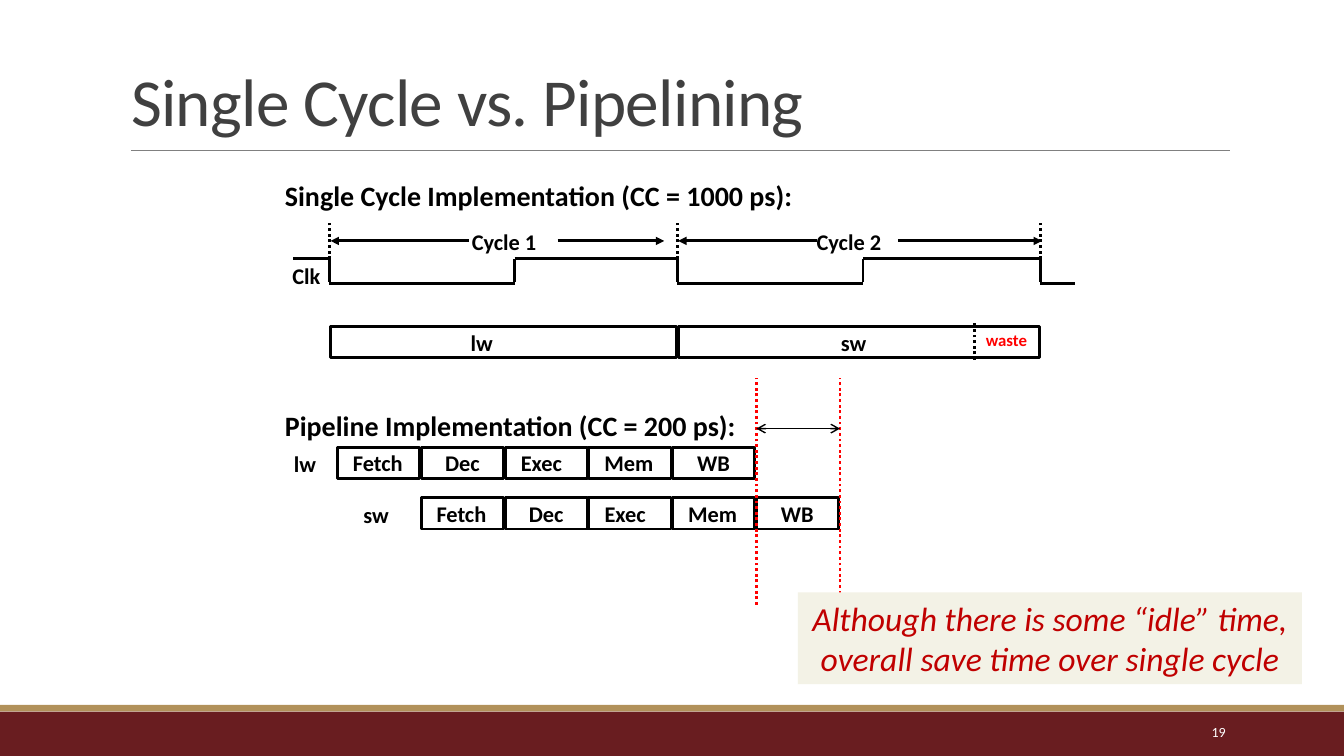
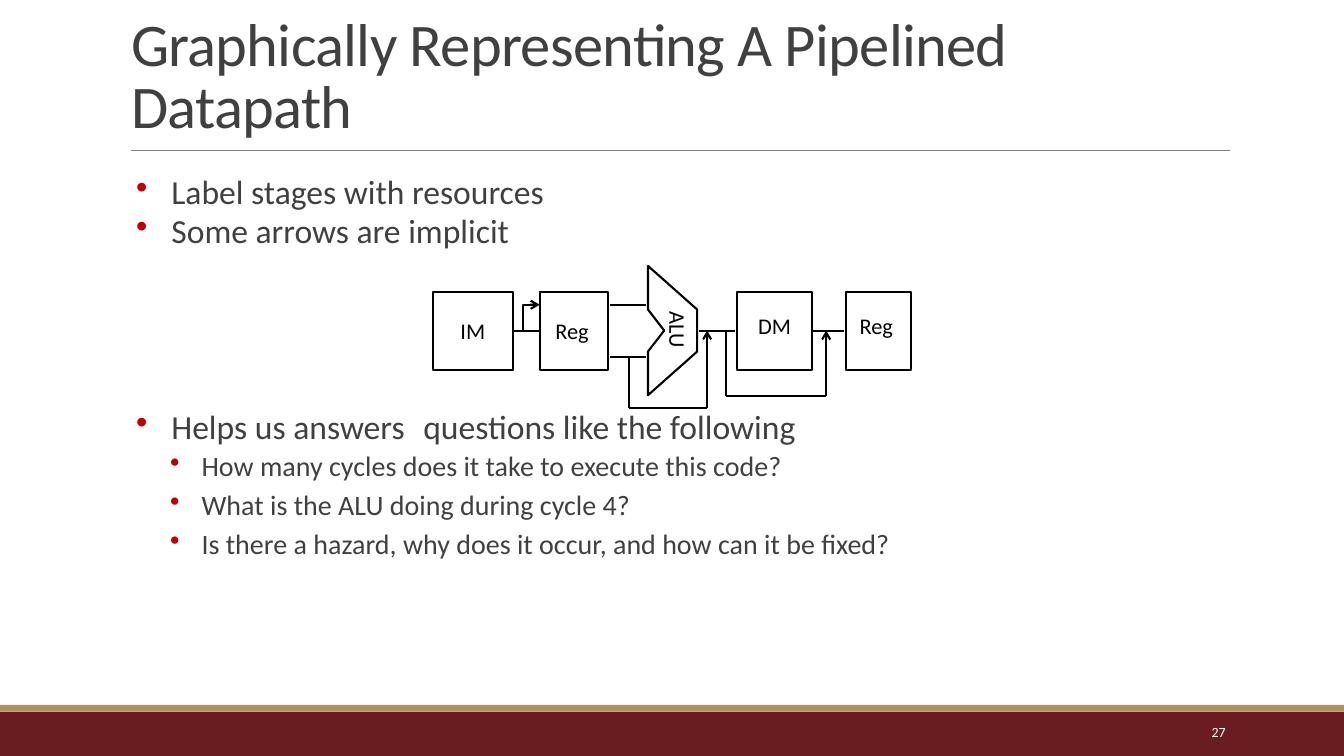
from lxml.etree import SubElement
from pptx import Presentation
from pptx.dml.color import RGBColor
from pptx.enum.dml import MSO_LINE
from pptx.enum.shapes import MSO_CONNECTOR, MSO_SHAPE
from pptx.enum.text import MSO_ANCHOR, MSO_AUTO_SIZE, PP_ALIGN
from pptx.oxml.ns import qn
from pptx.util import Cm, Pt

FONT = "Calibri"
BLACK, WHITE, GREY, RULE = "000000", "FFFFFF", "404040", "808080"
MAROON, GOLD, CREAM = "691D20", "B1915A", "F3F2E6"
RED, CRIMSON = "FF0000", "C00000"
STAGES = [("Fetch", 0.05), ("Dec", 0), ("Exec", 0.24), ("Mem", 0.05), ("WB", 0)]
STAGE_LEFT, STAGE_STEP = 8.51, 2.11


def rgb(code):
    return RGBColor.from_string(code)


def write(frame, text, size, color=BLACK, bold=False, italic=False,
          align=PP_ALIGN.LEFT, anchor=MSO_ANCHOR.TOP, wrap=True):
    frame.word_wrap = wrap
    frame.auto_size = MSO_AUTO_SIZE.NONE
    frame.vertical_anchor = anchor
    frame.text = text
    para = frame.paragraphs[0]
    para.alignment = align
    font = para.font
    font.name, font.size = FONT, Pt(size)
    font.bold, font.italic = bold, italic
    font.color.rgb = rgb(color)
    return para


def label(slide, text, x, y, w, h=0.94, size=16, **style):
    box = slide.shapes.add_textbox(Cm(x), Cm(y), Cm(w), Cm(h))
    write(box.text_frame, text, size, **style)
    return box


def outline(shape, color=BLACK, width=1.5, dash=None, head=None, tail=None):
    """Set the line of a shape; head and tail name arrowheads at start and end."""
    line = shape.line
    line.color.rgb = rgb(color)
    line.width = Pt(width)
    if dash:
        line.dash_style = dash
    ln = shape._element.spPr.find(qn("a:ln"))
    for tag, kind in (("a:headEnd", head), ("a:tailEnd", tail)):
        if kind:
            SubElement(ln, qn(tag), type=kind)


def block(slide, x, y, w, h, fill=None, width=None):
    shape = slide.shapes.add_shape(MSO_SHAPE.RECTANGLE, Cm(x), Cm(y), Cm(w), Cm(h))
    shape.shadow.inherit = False
    if fill:
        shape.fill.solid()
        shape.fill.fore_color.rgb = rgb(fill)
    else:
        shape.fill.background()
    if width:
        outline(shape, width=width)
    else:
        shape.line.fill.background()
    return shape


def unit(slide, text, x, y, w, h, width, lift=0, shift=0, bold=False):
    """Outlined box with a centred name; margins move it up (lift) or left (shift)."""
    frame = block(slide, x, y, w, h, width=width).text_frame
    frame.margin_left = frame.margin_top = 0
    frame.margin_right, frame.margin_bottom = Cm(shift), Cm(lift)
    write(frame, text, 16, bold=bold, align=PP_ALIGN.CENTER,
          anchor=MSO_ANCHOR.MIDDLE)


def link(slide, x1, y1, x2, y2, **style):
    wire = slide.shapes.add_connector(
        MSO_CONNECTOR.STRAIGHT, Cm(x1), Cm(y1), Cm(x2), Cm(y2))
    outline(wire, **style)
    SubElement(wire._element.spPr, qn("a:effectLst"))


def trace(slide, points, close=False, **style):
    """Draw an unfilled outline through points."""
    first, *rest = [(Cm(x), Cm(y)) for x, y in points]
    pen = slide.shapes.build_freeform(*first)
    pen.add_line_segments(rest, close=close)
    shape = pen.convert_to_shape()
    shape.shadow.inherit = False
    shape.fill.background()
    outline(shape, **style)


def bullet(para, left, hang):
    props = para._p.get_or_add_pPr()
    props.set("marL", str(Cm(left)))
    props.set("indent", str(-Cm(hang)))
    SubElement(SubElement(props, qn("a:buClr")), qn("a:srgbClr"), val=CRIMSON)
    SubElement(props, qn("a:buChar"), char="•")


def add_page(deck, title, size, number):
    slide = deck.slides.add_slide(deck.slide_layouts[5])
    block(slide, 0, 17.93, 33.87, 1.12, MAROON)
    block(slide, 0, 17.76, 33.87, 0.17, GOLD)
    link(slide, 3.3, 3.78, 30.99, 3.78, color=RULE, width=0.5)
    head = slide.shapes.title
    head.left, head.top, head.width, head.height = Cm(3.05), Cm(0.8), Cm(27.94), Cm(2.87)
    para = write(head.text_frame, title, size, GREY, anchor=MSO_ANCHOR.BOTTOM)
    para.line_spacing = 0.85
    para.runs[0]._r.get_or_add_rPr().set("spc", "-50")
    label(slide, number, 27.51, 17.93, 3.63, 1.02, 10, color=WHITE,
          align=PP_ALIGN.RIGHT, anchor=MSO_ANCHOR.MIDDLE)
    return slide


def draw_clock(slide):
    high, low, arrow = 6.51, 7.14, 6.07
    edges = [7.39, 8.3, 12.97, 17.07, 21.75, 26.22, 27.1]
    for i, (x1, x2) in enumerate(zip(edges, edges[1:])):
        y = low if i % 2 else high
        link(slide, x1, y, x2, y, width=2)
    for x in edges[1:-1]:
        link(slide, x, 6.53, x, 7.11, width=2)
    for x in (edges[1], edges[3], edges[5]):
        link(slide, x, 6.53, x, 5.61, width=2, dash=MSO_LINE.ROUND_DOT)
    for start, tip in ((11.81, 8.33), (14.05, 16.74), (20.6, 17.09), (22.63, 26.26)):
        link(slide, start, arrow, tip, arrow, width=2, tail="triangle")
    for text, x, y, w in (("Clk", 7.12, 6.48, 1.22), ("Cycle 1", 11.64, 5.63, 2.16),
                          ("Cycle 2", 20.33, 5.63, 2.16)):
        label(slide, text, x, y, w, bold=True, wrap=False)


def draw_single(slide):
    label(slide, "Single Cycle Implementation (CC = 1000 ps):", 6.93, 4.38,
          13.44, 1.09, 20, bold=True, wrap=False)
    draw_clock(slide)
    for text, x, w, at in (("lw", 8.33, 8.72, 11.61), ("sw", 17.1, 9.1, 20.94)):
        block(slide, x, 8.23, w, 0.79, width=2)
        label(slide, text, at, 8.18, 1.19, bold=True, wrap=False)
    link(slide, 24.55, 9.07, 24.55, 8.15, width=2, dash=MSO_LINE.ROUND_DOT)
    label(slide, "waste", 24.49, 8.18, 1.75, 0.76, 12, color=RED, bold=True,
          align=PP_ALIGN.CENTER)


def draw_pipe(slide):
    label(slide, "Pipeline Implementation (CC = 200 ps):", 6.93, 10.16,
          11.96, 1.09, 20, bold=True, wrap=False)
    for row, (text, x) in enumerate((("lw", 7.16), ("sw", 8.91))):
        y = 11.27 + row * 1.27
        label(slide, text, x, y - 0.04, 1.19, bold=True, wrap=False)
        for col, (stage, shift) in enumerate(STAGES, row):
            unit(slide, stage, STAGE_LEFT + col * STAGE_STEP, y, 2.07, 0.79, 2,
                 shift=shift, bold=True)
    ends = [STAGE_LEFT + col * STAGE_STEP for col in (5, 6)]
    for x in ends:
        link(slide, x, 15.24, x, 9.53, color=RED, width=2, dash=MSO_LINE.ROUND_DOT)
    link(slide, ends[0], 10.8, ends[1], 10.8, width=1, head="arrow", tail="arrow")


def draw_note(slide, text):
    note = block(slide, 20.11, 14.93, 12.7, 2.31, CREAM)
    write(note.text_frame, text, 24, CRIMSON, italic=True,
          align=PP_ALIGN.CENTER, anchor=MSO_ANCHOR.MIDDLE)


def draw_list(slide, items):
    """Items are (level, text, space before in points)."""
    box = slide.shapes.add_textbox(Cm(3.05), Cm(4.29), Cm(27.94), Cm(12.01))
    frame = box.text_frame
    frame.word_wrap = True
    frame.margin_left = frame.margin_right = 0
    for i, (level, text, before) in enumerate(items):
        para = frame.add_paragraph() if i else frame.paragraphs[0]
        para.text, para.level = text, level
        font = para.font
        font.name, font.size = FONT, Pt(20 if level else 24)
        font.color.rgb = rgb(GREY)
        para.line_spacing = 0.9
        para.space_before = Pt(before)
        para.space_after = Pt(4 if level else 2)
        bullet(para, *((2.03, 0.79) if level else (1.27, 0.89)))


def draw_path(slide):
    upper, mid, lower = 7.68, 8.33, 8.99
    for text, x, w, lift, shift in (("IM", 10.91, 2.01, 0, 0), ("Reg", 13.6, 1.73, 0, 0.1),
                                    ("DM", 18.57, 1.9, 0.25, 0),
                                    ("Reg", 21.31, 1.65, 0.25, 0.1)):
        unit(slide, text, x, 7.35, w, 1.98, 1.5, lift, shift)
    trace(slide, [(16.33, 8.86), (16.74, mid), (16.33, 7.8), (16.33, 6.7),
                  (17.57, 7.8), (17.57, 8.86), (16.33, 9.96)], close=True)
    label(slide, "ALU", 15.8, 7.83, 2.57, align=PP_ALIGN.CENTER).rotation = 90
    for x1, x2, y in ((12.93, 13.61, mid), (15.37, 16.28, upper), (15.37, 16.28, lower),
                      (17.62, 18.52, mid), (20.45, 21.26, mid)):
        link(slide, x1, y, x2, y)
    trace(slide, [(13.18, mid), (13.18, upper), (13.6, upper)], tail="arrow")
    for x1, x2, top, base in ((15.85, 17.82, lower, 10.29), (18.29, 20.82, mid, 9.97)):
        link(slide, x1, top, x1, base)
        link(slide, x1, base, x2, base)
        link(slide, x2, mid, x2, base, head="arrow")


def main():
    deck = Presentation()
    deck.slide_width, deck.slide_height = Cm(33.87), Cm(19.05)

    slide = add_page(deck, "Single Cycle vs. Pipelining", 48, "19")
    draw_single(slide)
    draw_pipe(slide)
    draw_note(slide, "Although there is some “idle” time, "
                     "overall save time over single cycle")

    slide = add_page(deck, "Graphically Representing A Pipelined Datapath", 43.2, "27")
    draw_list(slide, [
        (0, "Label stages with resources", 0),
        (0, "Some arrows are implicit", 0),
        (0, "Helps us answers \tquestions like the following", 112),
        (1, "How many cycles does it take to execute this code?", 2),
        (1, "What is the ALU doing during cycle 4?", 2.5),
        (1, "Is there a hazard, why does it occur, and how can it be fixed?", 2.5),
    ])
    draw_path(slide)
    deck.save("out.pptx")


if __name__ == "__main__":
    main()
